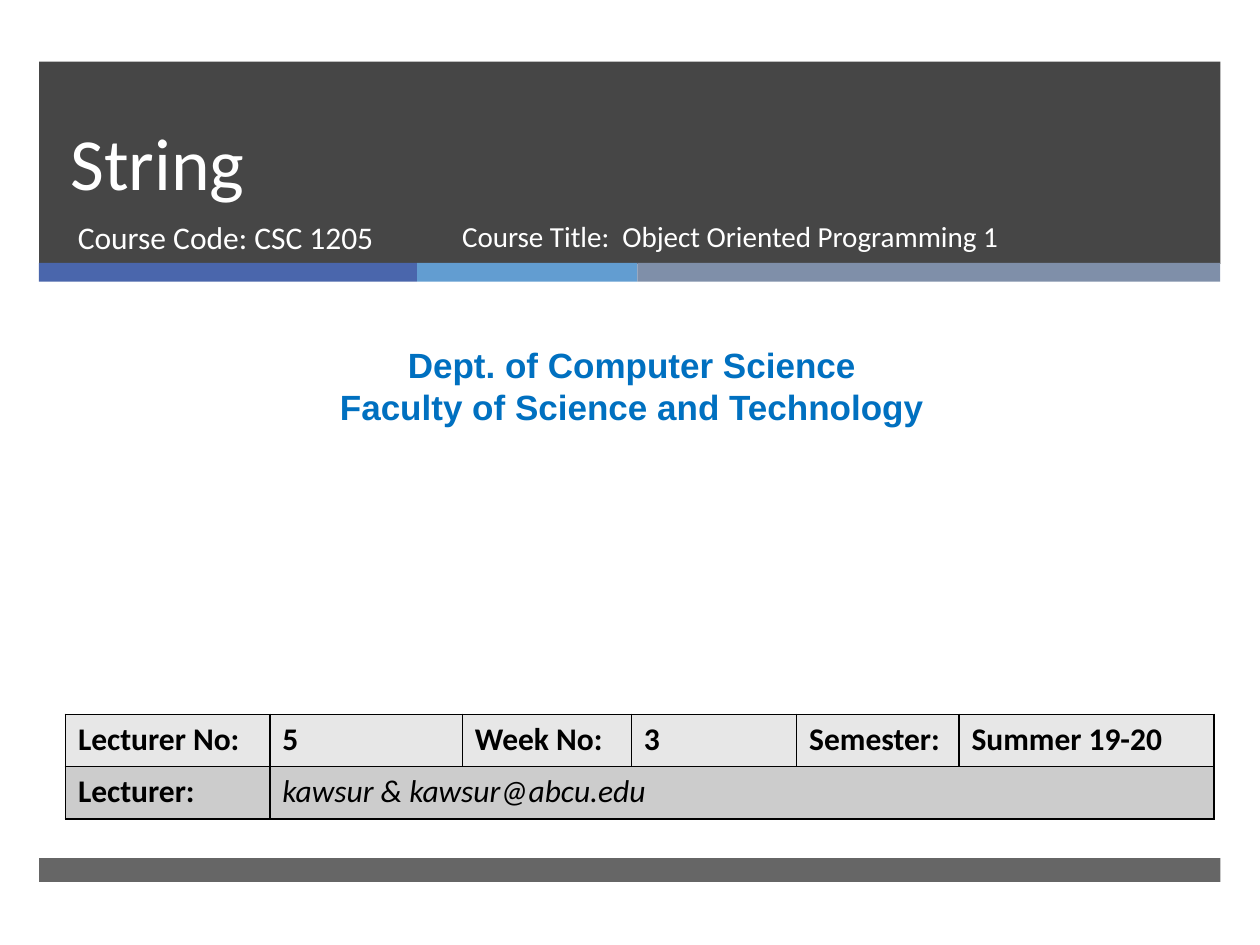
from dataclasses import dataclass
from itertools import accumulate

from lxml import etree
from pptx import Presentation
from pptx.dml.color import RGBColor
from pptx.enum import shapes, text
from pptx.oxml.ns import qn
from pptx.util import Pt

HUES = {
    "dark": "262626", "blue": "4A66AC", "sky": "629DD1", "slate": "7F8FA9",
    "white": "FFFFFF", "black": "000000", "dept": "0070C0",
    "head": "E7E7E7", "row": "CCCCCC",
}
LEFT, WIDE = 22.3, 675


@dataclass
class Bar:
    x: float
    y: float
    w: float
    h: float
    hue: str
    alpha: int = 100  # percent


@dataclass
class Label:
    x: float
    y: float
    w: float
    h: float
    lines: list[str]
    size: float
    hue: str = "white"
    face: str = "Calibri"
    bold: bool = False
    align: text.PP_ALIGN = text.PP_ALIGN.LEFT
    anchor: text.MSO_ANCHOR = text.MSO_ANCHOR.TOP
    lead: float | None = None  # line spacing in points


def color(name: str) -> RGBColor:
    return RGBColor.from_string(HUES[name])


def style(font, face: str, size: float, hue: str, bold: bool, slant: bool = False) -> None:
    font.name, font.size = face, Pt(size)
    font.bold, font.italic = bold, slant
    font.color.rgb = color(hue)


def draw_bar(slide, bar: Bar) -> None:
    rect = slide.shapes.add_shape(shapes.MSO_SHAPE.RECTANGLE,
                                  Pt(bar.x), Pt(bar.y), Pt(bar.w), Pt(bar.h))
    rect.shadow.inherit = False
    rect.line.fill.background()
    rect.fill.solid()
    rect.fill.fore_color.rgb = color(bar.hue)
    if bar.alpha < 100:
        tint = rect._element.spPr.find(qn("a:solidFill"))[0]
        etree.SubElement(tint, qn("a:alpha"), val=str(bar.alpha * 1000))


def draw_label(slide, item: Label) -> None:
    box = slide.shapes.add_textbox(Pt(item.x), Pt(item.y), Pt(item.w), Pt(item.h))
    frame = box.text_frame
    frame.word_wrap = True
    frame.vertical_anchor = item.anchor
    frame.text = "\n".join(item.lines)
    for para in frame.paragraphs:
        para.alignment = item.align
        if item.lead:
            para.line_spacing = Pt(item.lead)
        style(para.font, item.face, item.size, item.hue, item.bold)


def draw_edges(cell) -> None:
    props = cell._tc.get_or_add_tcPr()
    for i, side in enumerate(("lnL", "lnR", "lnT", "lnB")):
        line = etree.Element(qn(f"a:{side}"), w=str(Pt(1)))
        fill = etree.SubElement(line, qn("a:solidFill"))
        etree.SubElement(fill, qn("a:srgbClr"), val=HUES["black"])
        props.insert(i, line)


def draw_table(slide, x: float, y: float, cols: list[float], high: float,
               rows: list[list[str]]) -> None:
    table = slide.shapes.add_table(len(rows), len(cols), Pt(x), Pt(y),
                                   Pt(sum(cols)), Pt(high * len(rows))).table
    for col, wide in zip(table.columns, cols):
        col.width = Pt(wide)
    for r, (row, hue) in enumerate(zip(rows, ("head", "row"))):
        table.rows[r].height = Pt(high)
        for c in range(len(cols)):
            cell = table.cell(r, c)
            cell.fill.solid()
            cell.fill.fore_color.rgb = color(hue)
            draw_edges(cell)
            if c < len(row):
                cell.text = row[c]
                name = (r, c) == (1, 1)
                style(cell.text_frame.paragraphs[0].font, "Calibri", 18, "black",
                      not name, name)
    # The lecturer's name spans the rest of its row
    table.cell(1, 1).merge(table.cell(1, len(cols) - 1))


def main() -> None:
    deck = Presentation()
    deck.slide_width, deck.slide_height = Pt(720), Pt(540)
    slide = deck.slides.add_slide(deck.slide_layouts[6])

    # Title band, tricolour strip and footer band
    draw_bar(slide, Bar(LEFT, 35.2, WIDE, 115.6, "dark", 85))
    strip = [216, 126, 333]
    for x, w, hue in zip(accumulate(strip, initial=LEFT), strip, ("blue", "sky", "slate")):
        draw_bar(slide, Bar(x, 150.2, w, 10.8, hue))
    draw_bar(slide, Bar(LEFT, 490.3, WIDE, 13.7, "dark", 70))

    # Title, course and department
    for item in (
        Label(33.1, 35.3, 615, 85.7, ["String"], 42,
              anchor=text.MSO_ANCHOR.BOTTOM, lead=46),
        Label(37.4, 121, 219.6, 38, ["Course Code: CSC 1205"], 18),
        Label(257, 121, 332, 38, ["Course Title:  Object Oriented Programming 1"], 16.6),
        Label(5.8, 193, 710.6, 55.4,
              ["Dept. of Computer Science", "Faculty of Science and Technology"],
              20, "dept", "Arial", True, text.PP_ALIGN.CENTER),
    ):
        draw_label(slide, item)

    # Lecture details
    draw_table(slide, 37.4, 408.2, [116.8, 110, 96.6, 94.5, 92.8, 145.8], 29.9, [
        ["Lecturer No:", "5", "Week No:", "3", "Semester:", "Summer 19-20"],
        ["Lecturer:", "kawsur & kawsur@abcu.edu"],
    ])
    deck.save("out.pptx")


if __name__ == "__main__":
    main()
